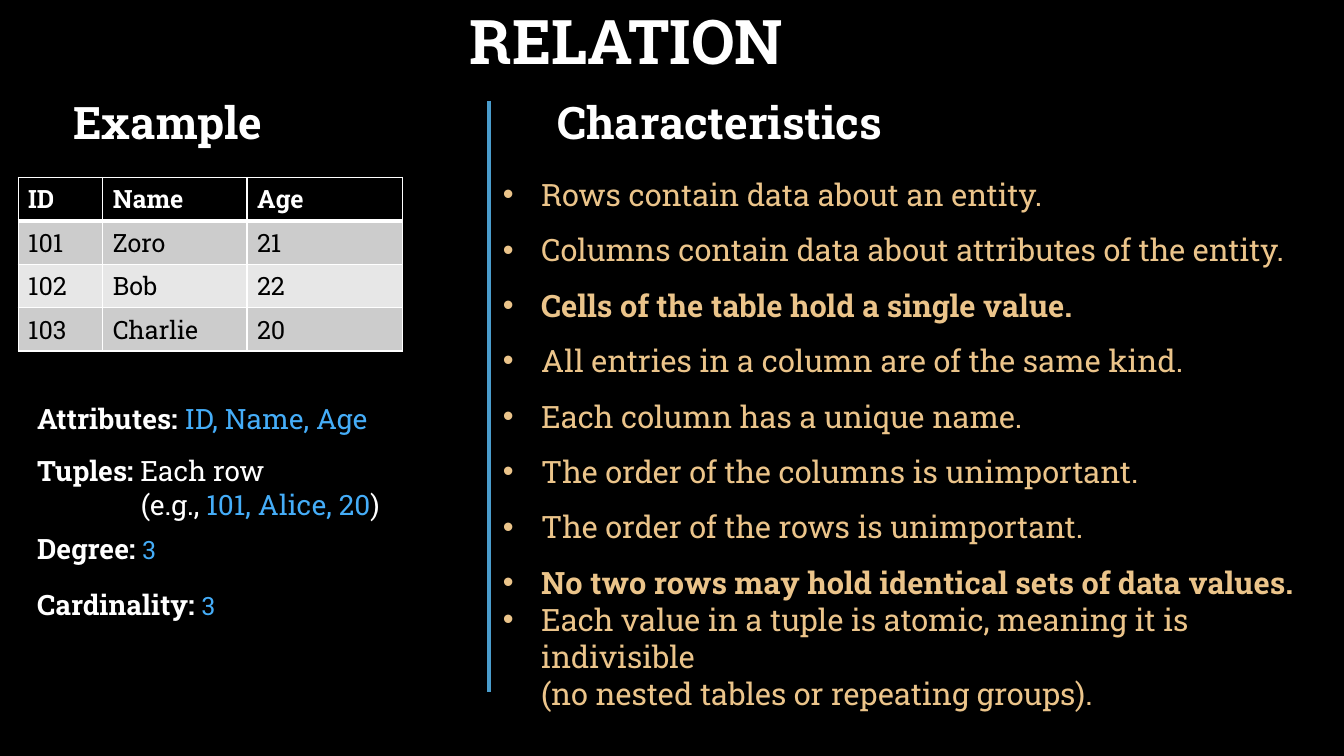
from lxml import etree
from pptx import Presentation
from pptx import util as u
from pptx.dml import color
from pptx.enum import shapes, text
from pptx.oxml import ns

Inches, Pt = u.Inches, u.Pt
FONT = "Roboto Slab"
WHITE, BLACK, BLUE, SAND = "FFFFFF", "000000", "45ADF8", "EBC48A"
LINE_BLUE = "4A9CCC"
BAND_FILLS = ["CCCCCC", "E7E7E7"]

TITLE = "RELATION"
HEADINGS = [
    ("Example", (0.63, 0.89, 2.16, 0.64)),
    ("Characteristics", (5.43, 0.89, 4.1, 0.64)),
]
TABLE_ROWS = [
    ("ID", "Name", "Age"),
    ("101", "Zoro", "21"),
    ("102", "Bob", "22"),
    ("103", "Charlie", "20"),
]
TABLE_BOX = (0.18, 1.76, 3.81, 1.62)
COLUMN_WIDTHS = [0.84, 1.43, 1.54]
CHARACTERISTICS_BOX = (4.89, 1.51, 8.34, 5.28)
CHARACTERISTICS = [
    ("Rows contain data about an entity.", False),
    ("Columns contain data about attributes of the entity.", False),
    ("Cells of the table hold a single value.", True),
    ("All entries in a column are of the same kind.", False),
    ("Each column has a unique name.", False),
    ("The order of the columns is unimportant.", False),
    ("The order of the rows is unimportant.", False),
    ("No two rows may hold identical sets of data values.", True),
]
ATOMIC_NOTE = [
    ("Each value in a tuple is atomic, meaning it is indivisible", True),
    ("(no nested tables or repeating groups).", False),
]
BULLET_INDENT = 0.38
EXAMPLE_INDENT = 1.03
DEFINITIONS = [
    ((0.27, 3.93, 3.54, 0.44), "Attributes: ", [("ID, Name, Age", BLUE, 20)], []),
    ((0.27, 4.45, 3.76, 0.77), "Tuples: ", [("Each row", WHITE, 20)],
     [("(e.g., ", WHITE, 20), ("101, Alice, 20", BLUE, 20), (")", WHITE, 20)]),
    ((0.27, 5.22, 1.5, 0.44), "Degree: ", [("3", BLUE, 18)], []),
    ((0.27, 5.78, 2.07, 0.44), "Cardinality: ", [("3", BLUE, 18)], []),
]
DIVIDER = (4.85, 1, 4.85, 6.87)


def rgb(value):
    return color.RGBColor.from_string(value)


def apply(target, values):
    for name, value in values.items():
        setattr(target, name, value)


def add_run(paragraph, words, size, hex_color, bold=False):
    run = paragraph.add_run()
    run.text = words
    apply(run.font, {"name": FONT, "size": Pt(size), "bold": bold})
    run.font.color.rgb = rgb(hex_color)


def add_text_box(slide, box, wrap=False):
    frame = slide.shapes.add_textbox(*map(Inches, box)).text_frame
    apply(frame, {"word_wrap": wrap, "auto_size": text.MSO_AUTO_SIZE.NONE})
    return frame


def next_paragraph(frame):
    first = frame.paragraphs[0]
    return frame.add_paragraph() if first.runs else first


def indent(paragraph, left, bullet=False):
    properties = paragraph._p.get_or_add_pPr()
    properties.set("marL", str(Inches(left)))
    properties.set("indent", str(-Inches(left) if bullet else 0))
    if bullet:
        etree.SubElement(properties, ns.qn("a:buFont"), typeface="Arial")
        etree.SubElement(properties, ns.qn("a:buChar"), char="•")


def add_border(cell, side, width):
    properties = cell._tc.get_or_add_tcPr()
    line = etree.SubElement(properties, ns.qn(f"a:ln{side}"), w=str(Pt(width)))
    fill = etree.SubElement(line, ns.qn("a:solidFill"))
    etree.SubElement(fill, ns.qn("a:srgbClr"), val=WHITE)


def add_title(slide):
    title = slide.shapes.title
    apply(title, dict(zip(("left", "top", "width", "height"),
                          map(Inches, (4.22, 0, 3.99, 0.89)))))
    apply(title.text_frame, {"vertical_anchor": text.MSO_ANCHOR.MIDDLE,
                             "auto_size": text.MSO_AUTO_SIZE.NONE})
    paragraph = title.text_frame.paragraphs[0]
    apply(paragraph, {"alignment": text.PP_ALIGN.CENTER, "line_spacing": 0.9})
    add_run(paragraph, TITLE, 44, WHITE, True)


def add_example_table(slide):
    table = slide.shapes.add_table(len(TABLE_ROWS), len(COLUMN_WIDTHS),
                                   *map(Inches, TABLE_BOX)).table
    for column, width in zip(table.columns, COLUMN_WIDTHS):
        column.width = Inches(width)
    for i, row in enumerate(TABLE_ROWS):
        header = i == 0
        for j, words in enumerate(row):
            cell = table.cell(i, j)
            add_run(cell.text_frame.paragraphs[0], words, 18,
                    WHITE if header else BLACK, header)
            borders = {"L": 1, "R": 1, "T": 3 if i == 1 else 1, "B": 3 if header else 1}
            for side, width in borders.items():
                add_border(cell, side, width)
            cell.fill.solid()
            cell.fill.fore_color.rgb = rgb(BLACK if header else BAND_FILLS[(i - 1) % 2])


def add_characteristics(slide):
    frame = add_text_box(slide, CHARACTERISTICS_BOX, True)
    items = [(words, bold, 1.5, True) for words, bold in CHARACTERISTICS]
    items += [(words, False, 1.0, bullet) for words, bullet in ATOMIC_NOTE]
    for words, bold, spacing, bullet in items:
        paragraph = next_paragraph(frame)
        paragraph.line_spacing = spacing
        indent(paragraph, BULLET_INDENT, bullet)
        add_run(paragraph, words, 22, SAND, bold)


def add_definitions(slide):
    for box, label, values, example in DEFINITIONS:
        frame = add_text_box(slide, box)
        paragraph = frame.paragraphs[0]
        add_run(paragraph, label, 20, WHITE, True)
        for words, hex_color, size in values:
            add_run(paragraph, words, size, hex_color)
        if example:
            paragraph = frame.add_paragraph()
            indent(paragraph, EXAMPLE_INDENT)
            for words, hex_color, size in example:
                add_run(paragraph, words, size, hex_color)


def add_divider(slide):
    divider = slide.shapes.add_connector(shapes.MSO_CONNECTOR.STRAIGHT,
                                         *map(Inches, DIVIDER))
    divider.line.color.rgb = rgb(LINE_BLUE)
    divider.line.width = Pt(3)
    etree.SubElement(divider._element.spPr, ns.qn("a:effectLst"))


def main():
    presentation = Presentation()
    apply(presentation, {"slide_width": Inches(13.33), "slide_height": Inches(7.5)})
    slide = presentation.slides.add_slide(presentation.slide_layouts[5])
    slide.background.fill.solid()
    slide.background.fill.fore_color.rgb = rgb(BLACK)
    add_title(slide)
    add_example_table(slide)
    for words, box in HEADINGS:
        add_run(add_text_box(slide, box).paragraphs[0], words, 32, WHITE, True)
    add_characteristics(slide)
    add_divider(slide)
    add_definitions(slide)
    presentation.save("out.pptx")


if __name__ == "__main__":
    main()
